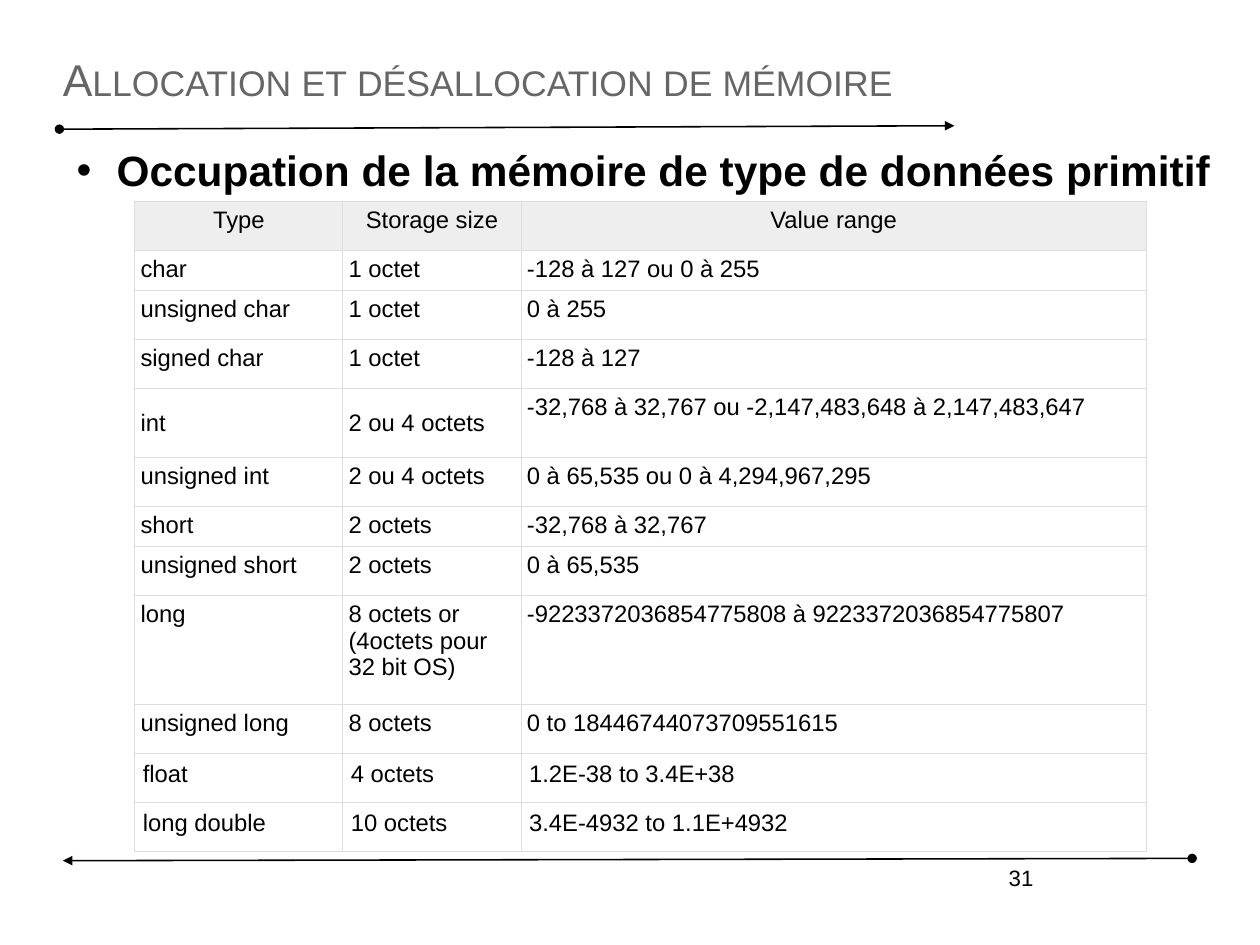
from lxml.etree import SubElement
from pptx import Presentation
from pptx.dml.color import RGBColor
from pptx.enum.shapes import MSO_CONNECTOR
from pptx.enum.text import MSO_ANCHOR, PP_ALIGN
from pptx.oxml.ns import qn
from pptx.util import Inches, Pt

CM_PER_INCH = 2.54
COLORS = {"text": "000000", "title": "666666", "header": "EEEEEE",
          "cell": "FFFFFF", "border": "DDDDDD"}
ROWS = [
    ("Type", "Storage size", "Value range"),
    ("char", "1 octet", "-128 à 127 ou 0 à 255"),
    ("unsigned char", "1 octet", "0 à 255"),
    ("signed char", "1 octet", "-128 à 127"),
    ("int", "2 ou 4 octets", "-32,768 à 32,767 ou -2,147,483,648 à 2,147,483,647"),
    ("unsigned int", "2 ou 4 octets", "0 à 65,535 ou 0 à 4,294,967,295"),
    ("short", "2 octets", "-32,768 à 32,767"),
    ("unsigned short", "2 octets", "0 à 65,535"),
    ("long", "8 octets or (4octets pour 32 bit OS)",
     "-9223372036854775808 à 9223372036854775807"),
    ("unsigned long", "8 octets", "0 to 18446744073709551615"),
    ("float", "4 octets", "1.2E-38 to 3.4E+38"),
    ("long double", "10 octets", "3.4E-4932 to 1.1E+4932"),
]
COL_WIDTHS = [1.82, 1.56, 5.47]
ROW_HEIGHT = 0.43
SPECIAL_HEIGHTS = {"char": 0.31, "short": 0.31, "int": 0.6, "long": 0.95}


def add_run(p, text, size, color="text"):
    r = p.add_run()
    r.text = text
    r.font.name = "Arial"
    r.font.size = Pt(size)
    r.font.color.rgb = RGBColor.from_string(COLORS[color])
    return r


def add_box(left, top, width, height, margin_x=0, margin_y=0):
    """Add a wrapping text box and return its text frame."""
    tf = slide.shapes.add_textbox(Inches(left), Inches(top),
                                  Inches(width), Inches(height)).text_frame
    tf.word_wrap = True
    tf.margin_left = tf.margin_right = Inches(margin_x)
    tf.margin_top = tf.margin_bottom = Inches(margin_y)
    return tf


# The page measures 28 by 21 cm
prs = Presentation()
prs.slide_width = Inches(28 / CM_PER_INCH)
prs.slide_height = Inches(21 / CM_PER_INCH)
slide = prs.slides.add_slide(prs.slide_layouts[6])

# Rules above and below the content
for x1, y1, x2, y2 in [(0.52, 1.13, 8.35, 1.1), (10.43, 7.51, 0.55, 7.53)]:
    rule = slide.shapes.add_connector(MSO_CONNECTOR.STRAIGHT, Inches(x1),
                                      Inches(y1), Inches(x2), Inches(y2))
    rule.line.width = Pt(1)
    rule.line.color.rgb = RGBColor.from_string(COLORS["text"])
    ln = rule.line._get_or_add_ln()
    SubElement(ln, qn("a:headEnd"), type="oval")
    SubElement(ln, qn("a:tailEnd"), type="triangle")
    SubElement(rule._element.spPr, qn("a:effectLst"))

# Slide number
p = add_box(6.57, 7.51, 2.57, 0.57, 0.1, 0.05).paragraphs[0]
p.alignment = PP_ALIGN.RIGHT
add_run(p, "31", 14)

# Title
tf = add_box(0.55, 0.33, 9.92, 0.72)
tf.vertical_anchor = MSO_ANCHOR.MIDDLE
r = add_run(tf.paragraphs[0], "Allocation et désallocation de mémoire", 28, "title")
r.font._element.set("cap", "small")

# Bulleted heading
p = add_box(0.55, 1.26, 10.1, 6.42).paragraphs[0]
p.space_before = Pt(9.4)
pPr = p._p.get_or_add_pPr()
pPr.set("marL", str(Inches(0.47)))
pPr.set("indent", str(Inches(-0.35)))
SubElement(pPr, qn("a:buFont"), typeface="Arial")
SubElement(pPr, qn("a:buChar"), char="•")
r = add_run(p, "Occupation de la mémoire de type de données primitif", 26.7)
r.font.bold = True

# Table of primitive types
table = slide.shapes.add_table(len(ROWS), len(COL_WIDTHS), Inches(1.18), Inches(1.76),
                               Inches(8.85), Inches(5.69)).table
for column, width in zip(table.columns, COL_WIDTHS):
    column.width = Inches(width)
for i, values in enumerate(ROWS):
    name = values[0]
    table.rows[i].height = Inches(SPECIAL_HEIGHTS.get(name, ROW_HEIGHT))
    margin = Inches(0.07 if name in ("float", "long double") else 0.05)
    for j, value in enumerate(values):
        cell = table.cell(i, j)
        cell.margin_left = cell.margin_right = margin
        cell.margin_top = cell.margin_bottom = margin
        if name == "int" and j < 2:
            cell.vertical_anchor = MSO_ANCHOR.MIDDLE
        p = cell.text_frame.paragraphs[0]
        p.alignment = PP_ALIGN.CENTER if i == 0 else PP_ALIGN.LEFT
        add_run(p, value, 15)
        tcPr = cell._tc.get_or_add_tcPr()
        for side in ("lnL", "lnR", "lnT", "lnB"):
            border = SubElement(tcPr, qn(f"a:{side}"), w=str(Pt(0.6)))
            fill = SubElement(border, qn("a:solidFill"))
            SubElement(fill, qn("a:srgbClr"), val=COLORS["border"])
        cell.fill.solid()
        cell.fill.fore_color.rgb = RGBColor.from_string(
            COLORS["header" if i == 0 else "cell"])

prs.save("out.pptx")
